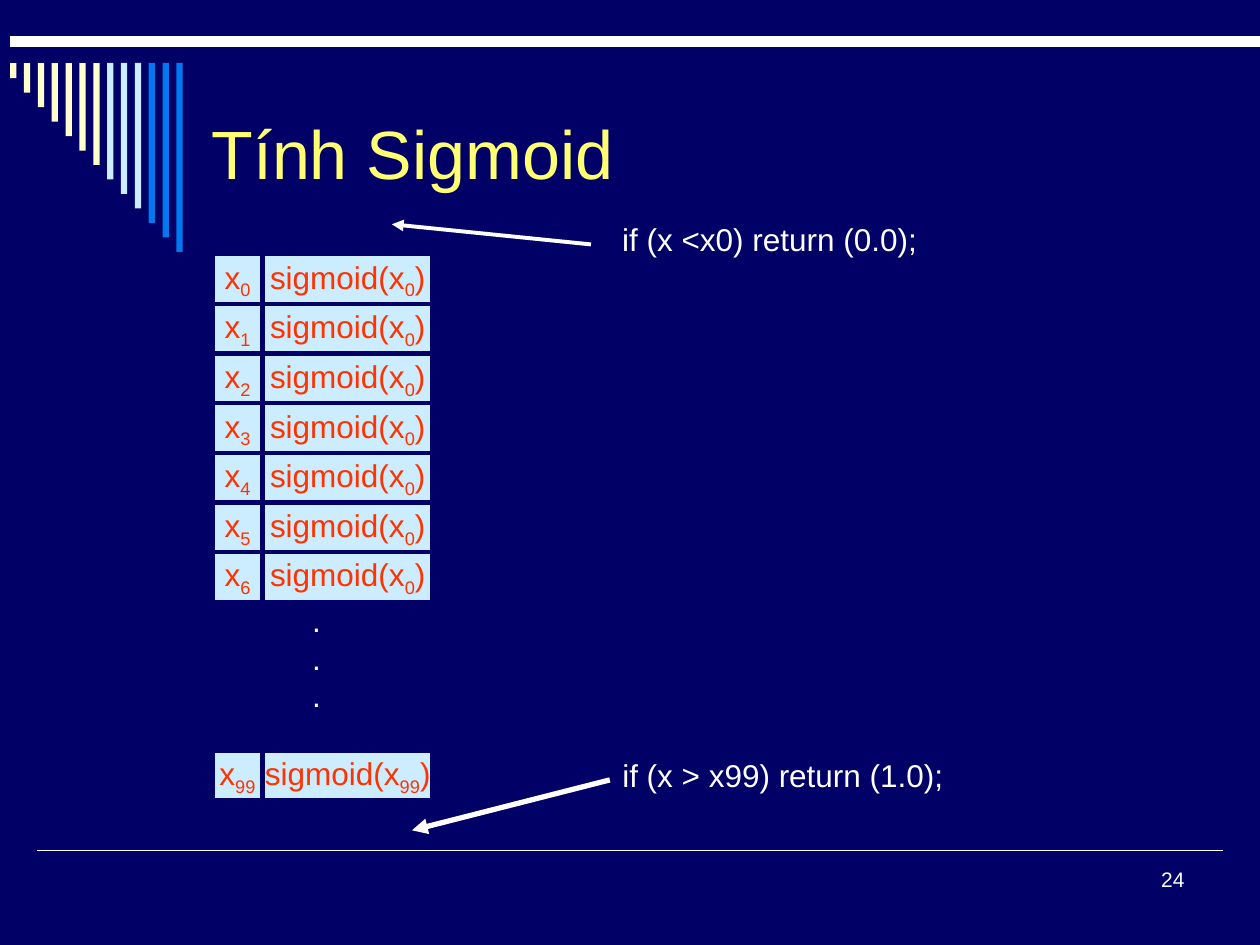
import pptx
import pptx.util
import pptx.dml.color
import pptx.enum.shapes
import pptx.enum.text
import pptx.oxml.ns
from lxml import etree

Inches = pptx.util.Inches
Anchor = pptx.enum.text.MSO_ANCHOR
Align = pptx.enum.text.PP_ALIGN
RECTANGLE = pptx.enum.shapes.MSO_SHAPE.RECTANGLE
COLORS = {
    name: pptx.dml.color.RGBColor.from_string(value)
    for name, value in {
        "navy": "000066", "white": "FFFFFF", "yellow": "FFFF73", "cream": "FFFFCC",
        "ice": "CCECFF", "blue": "0078F0", "red": "FF3300",
    }.items()
}


def write_text(shape, *lines, size=18, color="white", align=Align.LEFT,
               anchor=Anchor.TOP, wrap=False):
    frame = shape.text_frame
    frame.word_wrap = wrap
    frame.vertical_anchor = anchor
    for index, pieces in enumerate(lines):
        para = frame.add_paragraph() if index else frame.paragraphs[0]
        para.alignment = align
        for position, piece in enumerate(pieces):
            span = para.add_run()
            span.text = piece
            span.font.size = pptx.util.Pt(size)
            span.font.name = "Arial"
            span.font.color.rgb = COLORS[color]
            if position == 1:
                span._r.get_or_add_rPr().set("baseline", "-25000")


def draw_line(start, end, width, arrow=False):
    line = page.shapes.add_connector(
        pptx.enum.shapes.MSO_CONNECTOR.STRAIGHT,
        *(Inches(value) for value in start + end))
    line.line.color.rgb = COLORS["white"]
    line.line.width = pptx.util.Pt(width)
    if arrow:
        etree.SubElement(line.line._get_or_add_ln(),
                         pptx.oxml.ns.qn("a:tailEnd"), type="triangle")
    etree.SubElement(line._element.spPr, pptx.oxml.ns.qn("a:effectLst"))


deck = pptx.Presentation()
deck.slide_width, deck.slide_height = Inches(10), Inches(7.5)
page = deck.slides.add_slide(deck.slide_layouts[6])
page.background.fill.solid()
page.background.fill.fore_color.rgb = COLORS["navy"]

draw_line((0.29, 6.75), (9.71, 6.75), 1)
draw_line((0.08, 0.33), (10, 0.33), 6)

bars = page.shapes.add_group_shape()
for index, color in enumerate(["cream"] * 7 + ["ice"] * 3 + ["blue"] * 3):
    bar = bars.shapes.add_shape(RECTANGLE, Inches(0.08 + 0.11 * index), Inches(0.5),
                                Inches(0.05), Inches(0.12 + 0.115 * index))
    bar.shadow.inherit = False
    bar.fill.solid()
    bar.fill.fore_color.rgb = COLORS[color]
    bar.line.fill.background()

number = page.shapes.add_textbox(Inches(7.17), Inches(6.83), Inches(2.33), Inches(0.5))
write_text(number, ["24"], size=12, align=Align.RIGHT, wrap=True)
title = page.shapes.add_textbox(Inches(1.58), Inches(0.5), Inches(8.42), Inches(1.42))
write_text(title, ["Tính Sigmoid"], size=39, color="yellow", anchor=Anchor.MIDDLE, wrap=True)

rows = [(slot, str(slot), "0") for slot in range(7)] + [(10, "99", "99")]
for slot, key, argument in rows:
    row = page.shapes.add_group_shape()
    for left, width, pieces in (
        (2.09, 1.34, ["sigmoid(x", argument, ")"]),
        (1.69, 0.39, ["x", key]),
    ):
        cell = row.shapes.add_shape(RECTANGLE, Inches(left), Inches(2.02 + 0.394 * slot),
                                    Inches(width), Inches(0.39))
        cell.shadow.inherit = False
        cell.fill.solid()
        cell.fill.fore_color.rgb = COLORS["ice"]
        cell.line.color.rgb = COLORS["navy"]
        cell.line.width = pptx.util.Pt(2.25)
        write_text(cell, pieces, color="red", align=Align.CENTER, anchor=Anchor.MIDDLE)

for left, top, width, height, lines in (
    (2.38, 4.72, 0.27, 1, [["."]] * 3),
    (4.84, 5.95, 2.75, 0.4, [["if (x > x99) return (1.0);"]]),
    (4.84, 1.7, 2.54, 0.4, [["if (x <x0) return (0.0);"]]),
):
    box = page.shapes.add_textbox(Inches(left), Inches(top), Inches(width), Inches(height))
    write_text(box, *lines)
    box.text_frame.auto_size = pptx.enum.text.MSO_AUTO_SIZE.SHAPE_TO_FIT_TEXT

draw_line((4.69, 1.94), (3.11, 1.78), 2.25, arrow=True)
draw_line((4.84, 6.19), (3.27, 6.59), 3, arrow=True)

deck.save("out.pptx")
